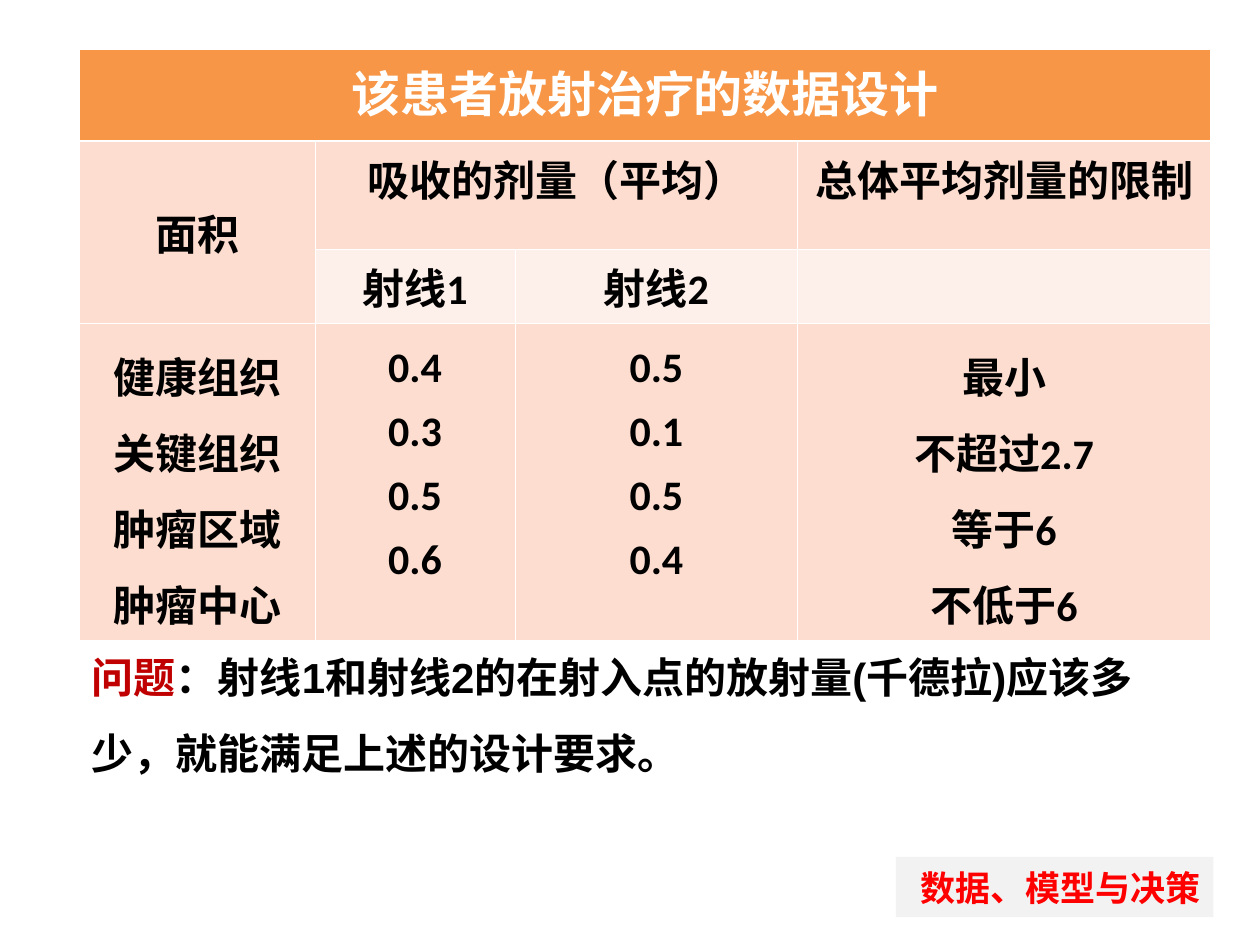
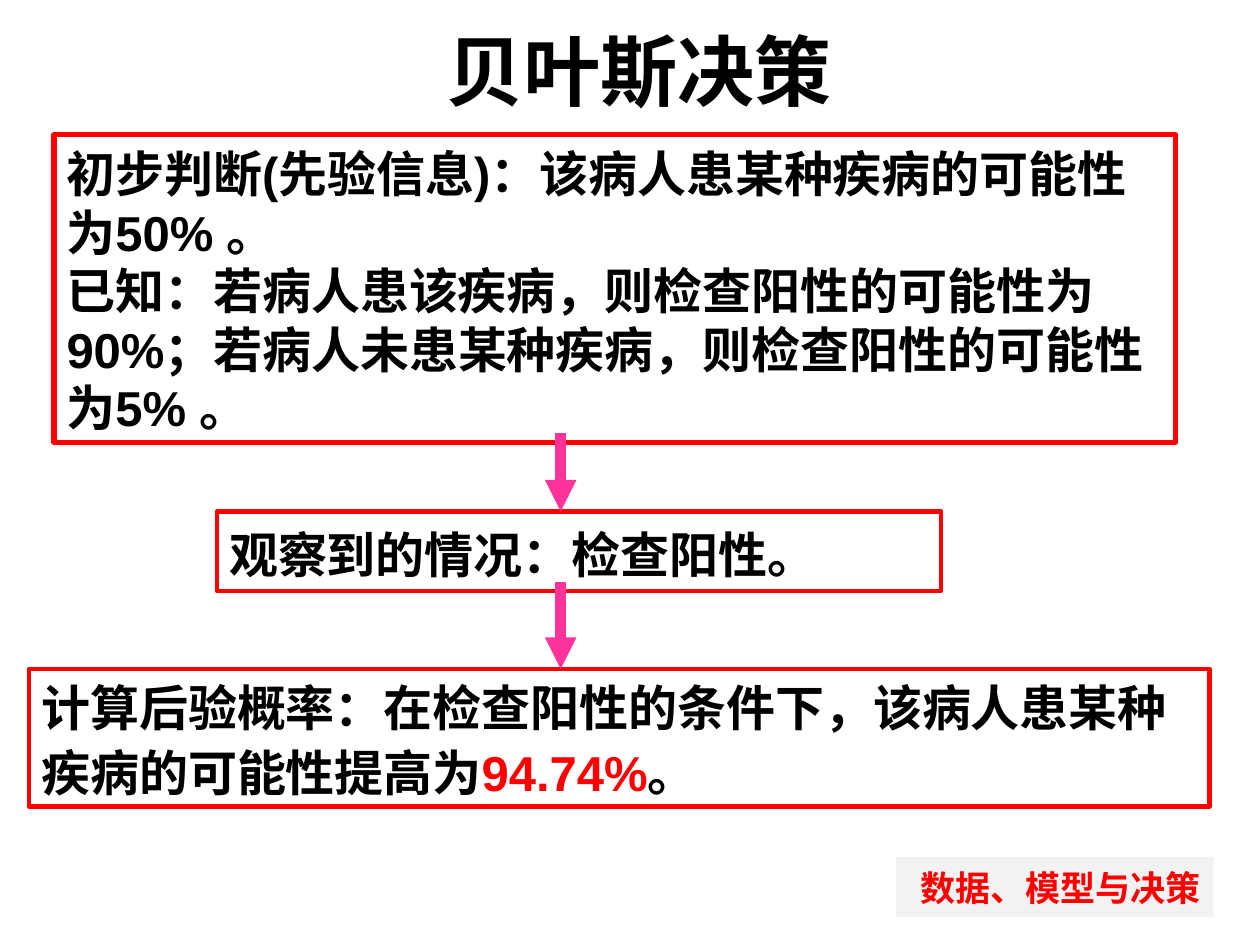
"""Build two slides on radiation data and a Bayesian decision."""
from pptx import Presentation
from pptx.dml.color import RGBColor
from pptx.enum.shapes import MSO_CONNECTOR, MSO_SHAPE
from pptx.enum.text import MSO_ANCHOR, MSO_AUTO_SIZE, PP_ALIGN
from pptx.oxml.ns import qn
from pptx.util import Inches, Pt
from lxml.etree import SubElement

HUES = {"black": "000000", "white": "FFFFFF", "red": "FF0000", "dark": "C00000",
        "gray": "F2F2F2", "orange": "F79646", "peach": "FCDDCF",
        "pale": "FDEFE9", "pink": "FF3399"}
HAN = "Noto Sans CJK SC"
FOOT = "数据、模型与决策"
COLS = [1.87, 1.59, 2.24, 3.28]
ROWS = [
    (0.73, "orange", ["该患者放射治疗的数据设计", "", "", ""]),
    (0.86, "peach", ["面积", "吸收的剂量（平均）", "", "总体平均剂量的限制"]),
    (0.5, "pale", ["", "射线1", "射线2", ""]),
    (2.1, "peach", ["健康组织\n关键组织\n肿瘤区域\n肿瘤中心", "0.4\n0.3\n0.5\n0.6",
                    "0.5\n0.1\n0.5\n0.4", "最小\n不超过2.7\n等于6\n不低于6"]),
]
SPANS = [((0, 0), (0, 3)), ((1, 0), (2, 0)), ((1, 1), (1, 2))]
ASK = [[("问题", "dark"),
        ("：射线1和射线2的在射入点的放射量(千德拉)应该多少，就能满足上述的设计要求。", "black")]]
TITLE = "贝叶斯决策"
STEPS = [
    ((0.43, 1.07, 8.9, 2.44), 3, 33.5, 0.07, [
        [("初步判断(先验信息)：该病人患某种疾病的可能性为50% 。", "black")],
        [("已知：若病人患该疾病，则检查阳性的可能性为90%；"
          "若病人未患某种疾病，则检查阳性的可能性为5% 。", "black")]]),
    ((1.72, 4.06, 5.75, 0.63), 2.5, 37.5, 0.05, [[("观察到的情况：检查阳性。", "black")]]),
    ((0.23, 5.31, 9.37, 1.09), 2.5, 37.5, 0.01, [
        [("计算后验概率：在检查阳性的条件下，该病人患某种疾病的可能性提高为", "black"),
         ("94.74%", "red"), ("。", "black")]]),
]
AXIS, LAP = 4.45, 0.07


def hue(key):
    return RGBColor.from_string(HUES[key])


def style(para, size, key="black", face="Arial", east="Arial"):
    font = para.font
    font.size, font.bold, font.name = Pt(size), True, face
    font.color.rgb = hue(key)
    base = para._p.pPr.find(qn("a:defRPr"))
    SubElement(base, qn("a:ea"), typeface=east)


def write(frame, paras, size, pitch):
    frame.word_wrap = True
    frame.vertical_anchor = MSO_ANCHOR.TOP
    for i, runs in enumerate(paras):
        para = frame.paragraphs[0] if i == 0 else frame.add_paragraph()
        para.alignment = PP_ALIGN.LEFT
        para.line_spacing = Pt(pitch)
        style(para, size)
        for text, key in runs:
            run = para.add_run()
            run.text = text
            if key != "black":
                run.font.color.rgb = hue(key)


def box(slide, place, fill, width=0):
    shape = slide.shapes.add_shape(MSO_SHAPE.RECTANGLE, *map(Inches, place))
    shape.shadow.inherit = False
    shape.fill.solid()
    shape.fill.fore_color.rgb = hue(fill)
    if width:
        shape.line.color.rgb = hue("red")
        shape.line.width = Pt(width)
    else:
        shape.line.fill.background()
    return shape


def start(deck, kind):
    slide = deck.slides.add_slide(deck.slide_layouts[kind])
    frame = box(slide, (7.11, 6.8, 2.52, 0.48), "gray").text_frame
    frame.vertical_anchor = MSO_ANCHOR.MIDDLE
    para = frame.paragraphs[0]
    para.text, para.alignment = FOOT, PP_ALIGN.RIGHT
    style(para, 20, "red", HAN, HAN)
    return slide


def edge(cell, row):
    props = cell._tc.get_or_add_tcPr()
    for i, side in enumerate(("lnL", "lnR", "lnT", "lnB")):
        thick = (side, row) in (("lnB", 0), ("lnT", 1))
        line = SubElement(props, qn("a:" + side), w=str(Pt(1.47 if thick else 0.45)))
        fill = SubElement(line, qn("a:solidFill"))
        SubElement(fill, qn("a:srgbClr"), val=HUES["white"])
        props.insert(i, line)


def grid(slide):
    high = sum(row[0] for row in ROWS)
    table = slide.shapes.add_table(len(ROWS), len(COLS), Inches(0.63), Inches(0.39),
                                   Inches(sum(COLS)), Inches(high)).table
    table.horz_banding = False
    for col, width in zip(table.columns, COLS):
        col.width = Inches(width)
    for a, b in SPANS:
        table.cell(*a).merge(table.cell(*b))
    for r, (tall, fill, texts) in enumerate(ROWS):
        table.rows[r].height = Inches(tall)
        for c, text in enumerate(texts):
            cell = table.cell(r, c)
            cell.fill.solid()
            cell.fill.fore_color.rgb = hue(fill)
            edge(cell, r)
            if not text:
                continue
            cell.text = text
            for para in cell.text_frame.paragraphs:
                para.alignment = PP_ALIGN.CENTER
                if r == 3:
                    para.line_spacing = 1.25
                style(para, 24 if r else 28, "black" if r else "white", "Calibri", HAN)
    table.cell(1, 0).vertical_anchor = MSO_ANCHOR.MIDDLE


def arrow(slide, top, end):
    line = slide.shapes.add_connector(MSO_CONNECTOR.STRAIGHT, Inches(AXIS), Inches(top),
                                      Inches(AXIS), Inches(end))
    line.line.color.rgb = hue("pink")
    line.line.width = Pt(6)
    props = line._element.spPr
    SubElement(props.find(qn("a:ln")), qn("a:tailEnd"), type="triangle")
    SubElement(props, qn("a:effectLst"))


def dose(deck):
    slide = start(deck, 6)
    grid(slide)
    place = map(Inches, (0.63, 4.92, 8.75, 1.3))
    write(slide.shapes.add_textbox(*place).text_frame, ASK, 24, 43.4)


def bayes(deck):
    slide = start(deck, 5)
    title = slide.shapes.title
    title.left, title.top, title.width, title.height = map(Inches, (0.98, 0.13, 8.19, 0.84))
    frame = title.text_frame
    frame.text = TITLE
    frame.auto_size = MSO_AUTO_SIZE.NONE
    frame.vertical_anchor = MSO_ANCHOR.MIDDLE
    frame.paragraphs[0].alignment = PP_ALIGN.CENTER
    style(frame.paragraphs[0], 44)
    for place, width, pitch, inset, paras in STEPS:
        frame = box(slide, place, "white", width).text_frame
        frame.margin_top = Inches(inset)
        write(frame, paras, 28, pitch)
    for (_, top, _, tall), after in zip([s[0] for s in STEPS], STEPS[1:]):
        arrow(slide, top + tall - LAP, after[0][1])


def main():
    deck = Presentation()
    deck.slide_width, deck.slide_height = Inches(10), Inches(7.5)
    dose(deck)
    bayes(deck)
    deck.save("out.pptx")


if __name__ == "__main__":
    main()
